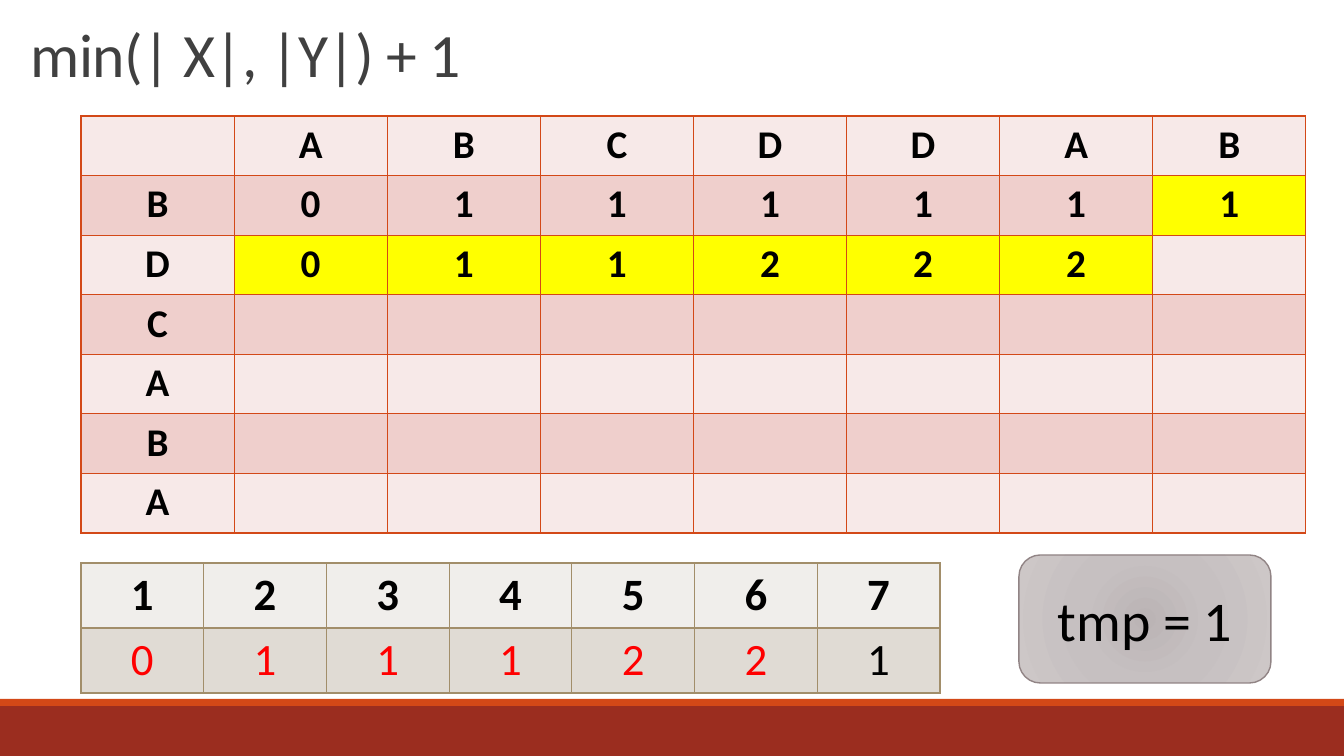
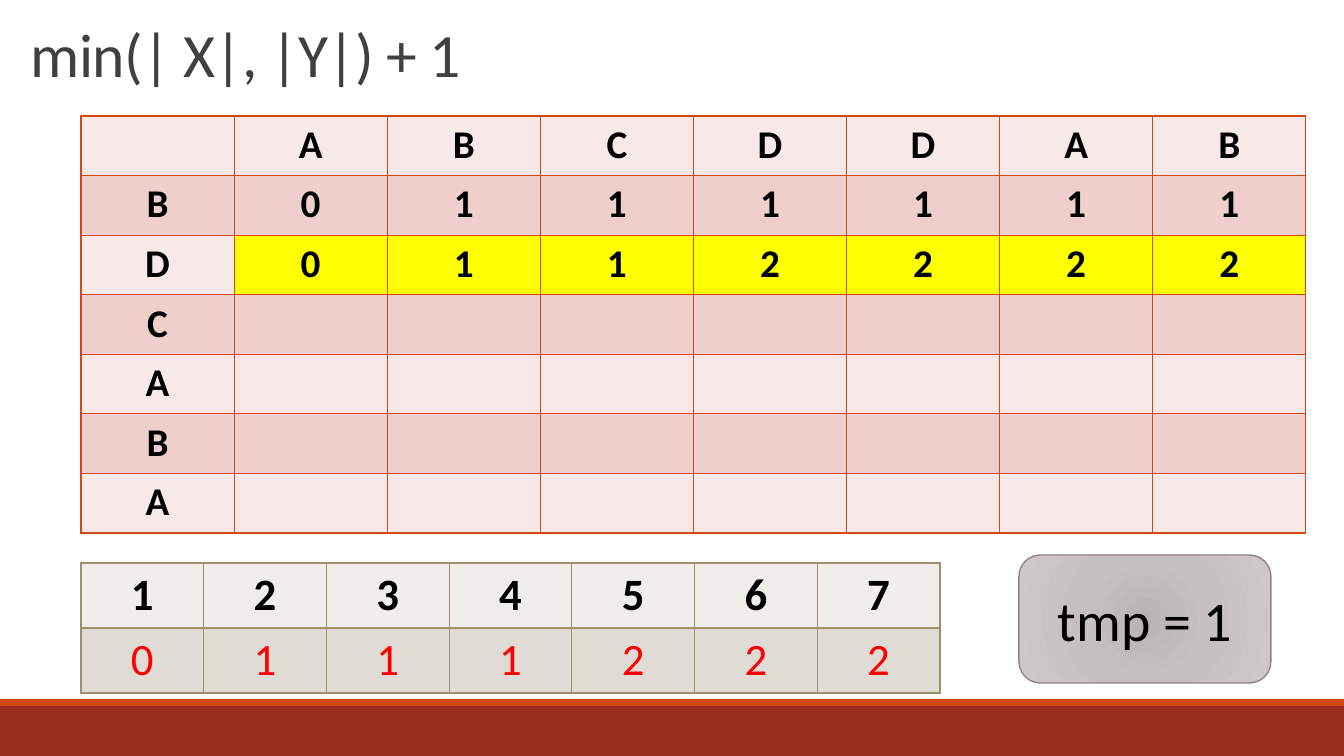
from dataclasses import dataclass

import pptx
import pptx.dml.color
import pptx.enum.shapes
import pptx.enum.text
import pptx.oxml
import pptx.oxml.ns
import pptx.presentation
import pptx.shapes.autoshape
import pptx.slide
import pptx.text.text
import pptx.util

EMU_PER_PX = 914400 / 100.8
TITLE_ONLY = 5
CENTER = pptx.enum.text.PP_ALIGN.CENTER
LEFT = pptx.enum.text.PP_ALIGN.LEFT


@dataclass(frozen=True)
class Theme:
    font: str = "Calibri"
    title_size: int = 44
    grid_size: int = 28
    buffer_size: int = 32
    badge_size: int = 40
    title: str = "404040"
    text: str = "000000"
    updated: str = "FF0000"
    highlight: str = "FFFF00"
    footer: str = "9B2D1F"
    accent: str = "D34817"
    grid_fills: tuple[str, str] = ("F7E9E8", "EFCFCC")
    buffer_border: str = "A28E6A"
    buffer_fills: tuple[str, str] = ("F0EEEB", "E0DBD4")
    badge_border: str = "918485"
    badge_stops: tuple[tuple[int, str], ...] = ((0, "BBB4B5"), (45, "C6C0C1"), (100, "CDC7C7"))


@dataclass(frozen=True)
class Box:
    left: int
    top: int
    width: int
    height: int

    def emu(self) -> tuple[int, int, int, int]:
        return px(self.left), px(self.top), px(self.width), px(self.height)


@dataclass(frozen=True)
class Cell:
    text: str
    fill: str
    color: str
    bold: bool = True


@dataclass(frozen=True)
class Step:
    computed: str
    buffer: str


THEME = Theme()
TITLE = "min(| X|, |Y|) + 1"
BADGE = "tmp = 1"
COLUMN_WORD = "ABCDDAB"
ROW_WORD = "BDCABA"
BUFFER_LENGTH = min(len(COLUMN_WORD), len(ROW_WORD)) + 1
STEPS = (Step("0111111011222", "0111221"), Step("01111110112222", "0111222"))

TITLE_BOX = Box(7, 6, 1030, 89)
GRID_BOX = Box(81, 116, 1225, 417)
BUFFER_BOX = Box(81, 563, 859, 130)
BADGE_BOX = Box(1019, 555, 252, 128)
BANDS = ((Box(0, 706, 1344, 50), THEME.footer), (Box(0, 699, 1344, 7), THEME.accent))


def px(length: float) -> int:
    return round(length * EMU_PER_PX)


def rgb(value: str) -> pptx.dml.color.RGBColor:
    return pptx.dml.color.RGBColor.from_string(value)


def write(frame: pptx.text.text.TextFrame, text: str, size: int, color: str,
          bold: bool = False, align: pptx.enum.text.PP_ALIGN = CENTER) -> pptx.text.text._Run:
    frame.text = text
    para = frame.paragraphs[0]
    para.alignment = align
    span = para.runs[0]
    span.font.name = THEME.font
    span.font.size = pptx.util.Pt(size)
    span.font.bold = bold
    span.font.color.rgb = rgb(color)
    return span


def add_bands(slide: pptx.slide.Slide) -> None:
    layout_tree = slide.slide_layout.shapes.element
    for number, (box, color) in enumerate(BANDS, start=20):
        band = slide.shapes.add_shape(pptx.enum.shapes.MSO_SHAPE.RECTANGLE, *box.emu())
        band.name = f"Band {number}"
        band.shadow.inherit = False
        band.fill.solid()
        band.fill.fore_color.rgb = rgb(color)
        band.line.fill.background()
        band.element.nvSpPr.cNvPr.set("id", str(number))
        layout_tree.append(band.element)


def add_title(slide: pptx.slide.Slide) -> None:
    title = slide.shapes.title
    title.left, title.top, title.width, title.height = TITLE_BOX.emu()
    frame = title.text_frame
    frame.word_wrap = True
    frame.auto_size = pptx.enum.text.MSO_AUTO_SIZE.NONE
    frame.vertical_anchor = pptx.enum.text.MSO_ANCHOR.BOTTOM
    frame.margin_left = px(24)
    span = write(frame, TITLE, THEME.title_size, THEME.title, align=LEFT)
    span.font._element.set("spc", "-50")
    frame.paragraphs[0].line_spacing = 0.85


def add_table(slide: pptx.slide.Slide, box: Box, rows: list[list[Cell]],
              size: int, border: str) -> None:
    left, top, width, height = box.emu()
    table = slide.shapes.add_table(len(rows), len(rows[0]), left, top, width, height).table
    table.first_row = False
    table.horz_banding = False
    for column in table.columns:
        column.width = width // len(rows[0])
    for row in table.rows:
        row.height = height // len(rows)
    for target, cell in zip(table.iter_cells(), (cell for row in rows for cell in row)):
        properties = target._tc.get_or_add_tcPr()
        for side in ("lnL", "lnR", "lnT", "lnB"):
            properties.append(pptx.oxml.parse_xml(
                f'<a:{side} {pptx.oxml.ns.nsdecls("a")} w="12700"><a:solidFill>'
                f'<a:srgbClr val="{border}"/></a:solidFill></a:{side}>'))
        target.fill.solid()
        target.fill.fore_color.rgb = rgb(cell.fill)
        if cell.text:
            write(target.text_frame, cell.text, size, cell.color, cell.bold)


def grid_rows(step: Step) -> list[list[Cell]]:
    width = len(COLUMN_WORD)
    live = range(len(step.computed) - BUFFER_LENGTH, len(step.computed))
    rows = [[Cell(text, THEME.grid_fills[0], THEME.text) for text in ("", *COLUMN_WORD)]]
    for number, letter in enumerate(ROW_WORD):
        band = THEME.grid_fills[(number + 1) % 2]
        row = [Cell(letter, band, THEME.text)]
        for index in range(number * width, (number + 1) * width):
            fill = THEME.highlight if index in live else band
            row.append(Cell(step.computed[index:index + 1], fill, THEME.text))
        rows.append(row)
    return rows


def buffer_rows(step: Step) -> list[list[Cell]]:
    updated = len(step.computed) - len(COLUMN_WORD)
    head, body = THEME.buffer_fills
    return [
        [Cell(str(place + 1), head, THEME.text) for place in range(BUFFER_LENGTH)],
        [Cell(value, body, THEME.updated if place < updated else THEME.text, False)
         for place, value in enumerate(step.buffer)],
    ]


def fill_radial(shape: pptx.shapes.autoshape.Shape) -> None:
    stops = "".join(f'<a:gs pos="{place * 1000}"><a:srgbClr val="{color}"/></a:gs>'
                    for place, color in THEME.badge_stops)
    gradient = pptx.oxml.parse_xml(
        f'<a:gradFill {pptx.oxml.ns.nsdecls("a")} rotWithShape="1"><a:gsLst>{stops}</a:gsLst>'
        '<a:path path="circle"><a:fillToRect l="100000" t="100000" r="100000" b="100000"/>'
        '</a:path></a:gradFill>')
    shape.fill.background()
    properties = shape.element.spPr
    properties.replace(properties.find(pptx.oxml.ns.qn("a:noFill")), gradient)


def add_badge(slide: pptx.slide.Slide) -> None:
    badge = slide.shapes.add_shape(
        pptx.enum.shapes.MSO_SHAPE.ROUNDED_RECTANGLE, *BADGE_BOX.emu())
    badge.shadow.inherit = False
    fill_radial(badge)
    badge.line.color.rgb = rgb(THEME.badge_border)
    badge.line.width = pptx.util.Pt(1)
    badge.text_frame.word_wrap = True
    badge.text_frame.vertical_anchor = pptx.enum.text.MSO_ANCHOR.MIDDLE
    write(badge.text_frame, BADGE, THEME.badge_size, THEME.text)


def add_step(deck: pptx.presentation.Presentation, step: Step) -> pptx.slide.Slide:
    page = deck.slides.add_slide(deck.slide_layouts[TITLE_ONLY])
    add_title(page)
    add_table(page, BUFFER_BOX, buffer_rows(step), THEME.buffer_size, THEME.buffer_border)
    add_table(page, GRID_BOX, grid_rows(step), THEME.grid_size, THEME.accent)
    add_badge(page)
    return page


def main() -> None:
    deck = pptx.Presentation()
    deck.slide_width, deck.slide_height = px(1344), px(756)
    pages = [add_step(deck, step) for step in STEPS]
    add_bands(pages[0])
    deck.save("out.pptx")


if __name__ == "__main__":
    main()
